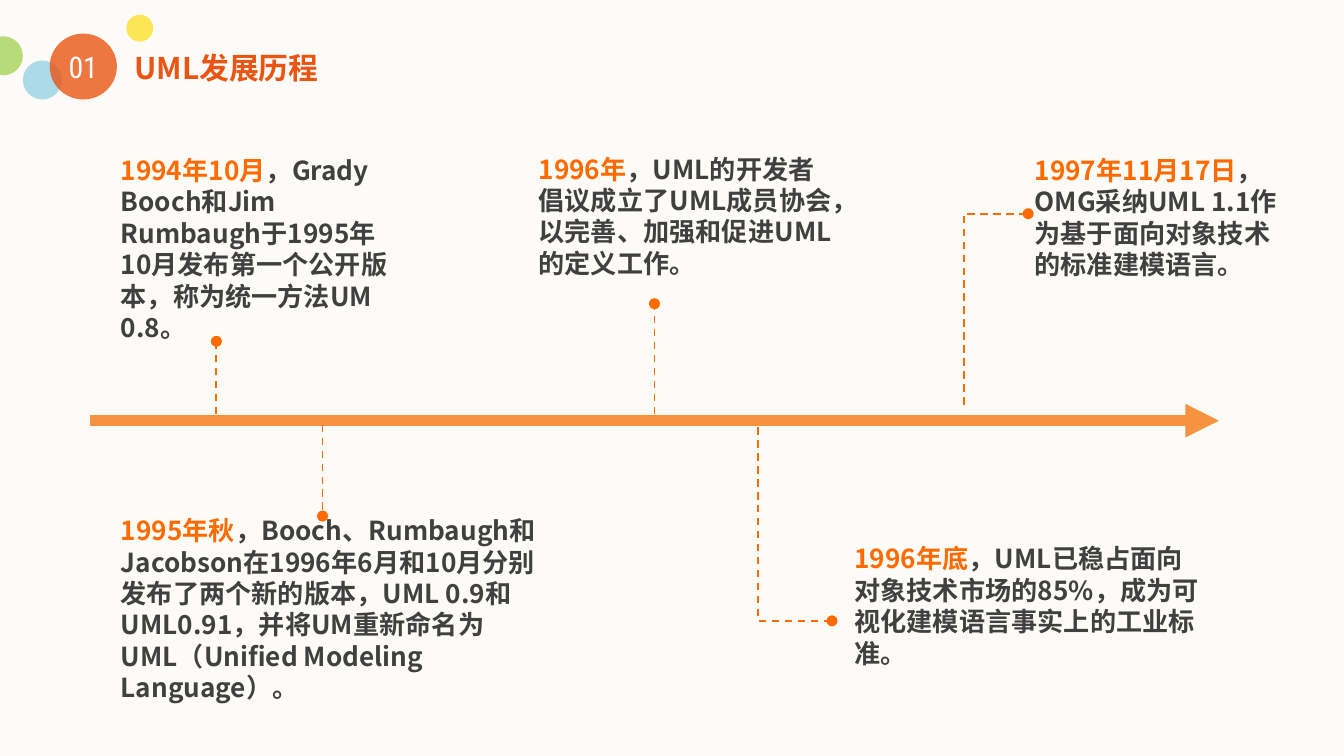
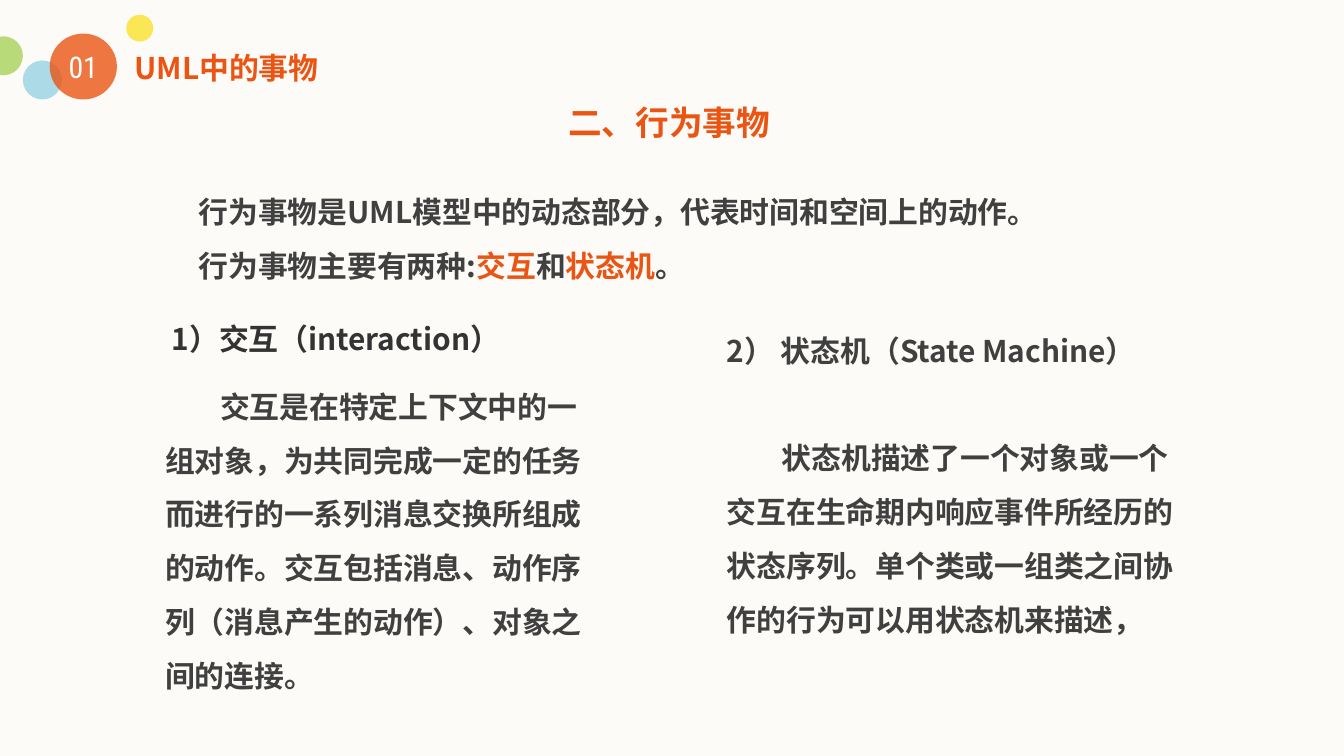
from lxml.etree import SubElement
from pptx import Presentation
from pptx.dml.color import RGBColor
from pptx.enum.dml import MSO_LINE as Dash
from pptx.enum.shapes import MSO_CONNECTOR as Connector, MSO_SHAPE as Shape
from pptx.enum.text import MSO_ANCHOR as Anchor, MSO_AUTO_SIZE as AutoSize, PP_ALIGN as Align
from pptx.oxml.ns import qn
from pptx.util import Pt

PX = 9144  # EMU per px, 100 px to the inch
SLIDE_SIZE = (1000, 562.5)
TITLE_ONLY = 5
SANS, NUMERAL = "Noto Sans CJK SC", "Roboto Condensed"
COLORS = {
    "paper": "FCFBF7", "white": "FFFFFF", "body": "404040", "heading": "333333",
    "title": "EA5514", "date": "FF6B00", "axis": "F69240",
    "yellow": "FBE22D", "green": "A9D25A", "blue": "98D2E3",
}

SECTION = "01"
BUBBLES = [  # colour, left, top, width, height
    ("yellow", 94, 11, 20, 20),
    ("green", -12, 27, 29, 29),
    ("blue", 17, 45, 29, 29),
    ("title", 37, 25, 50, 49),
]

# Text between asterisks takes the accent colour.
HISTORY_TITLE = "UML发展历程"
AXIS = [(67, 313), (907, 313)]
MILESTONES = [  # text, box, leader from the axis to its dot
    ("*1994年10月*，Grady Booch和Jim Rumbaugh于1995年10月发布第一个公开版本，称为统一方法UM 0.8。",
     (80, 110, 226, 151), [(161, 308), (161, 254)]),
    ("*1995年秋*，Booch、Rumbaugh和Jacobson在1996年6月和10月分别发布了两个新的版本，"
     "UML 0.9和UML0.91，并将UM重新命名为UML（Unified Modeling Language）。",
     (80, 378, 329, 151), [(240, 316), (240, 384)]),
    ("*1996年*，UML的开发者倡议成立了UML成员协会，以完善、加强和促进UML的定义工作。",
     (391, 109, 243, 104), [(487, 308), (487, 226)]),
    ("*1996年底*，UML已稳占面向对象技术市场的85%，成为可视化建模语言事实上的工业标准。",
     (626, 399, 283, 104), [(564, 318), (564, 462), (619, 462)]),
    ("*1997年11月17日*，OMG采纳UML 1.1作为基于面向对象技术的标准建模语言。",
     (760, 110, 213, 104), [(717, 301), (717, 159), (765, 159)]),
]

THINGS_TITLE = "UML中的事物"
OPEN = {"spacing": 1.5}
INDENTED = {"spacing": 1.5, "indent": 41}
THINGS = [  # box, text style, paragraphs with their layout
    ((413, 71, 200, 40), {"size": 18, "color": "title"}, [("二、行为事物", {})]),
    ((138, 126, 693, 86), {}, [
        ("行为事物是UML模型中的动态部分，代表时间和空间上的动作。", OPEN),
        ("行为事物主要有两种:*交互*和*状态机*。", OPEN),
    ]),
    ((118, 234, 390, 37), {"color": "heading"}, [("1）交互（interaction）", {})]),
    ((113, 271, 341, 248), {}, [
        ("交互是在特定上下文中的一组对象，为共同完成一定的任务而进行的一系列消息交换所组成的动作。"
         "交互包括消息、动作序列（消息产生的动作）、对象之间的连接。", INDENTED),
    ]),
    ((531, 229, 370, 248), {}, [
        ("2） 状态机（State Machine）", OPEN),
        ("状态机描述了一个对象或一个交互在生命期内响应事件所经历的状态序列。"
         "单个类或一组类之间协作的行为可以用状态机来描述，", {**INDENTED, "before": 29}),
    ]),
]


def px(*lengths):
    return [round(length * PX) for length in lengths]


def rgb(name):
    return RGBColor.from_string(COLORS[name])


def style_font(paragraph, size, color, face=SANS, bold=True):
    font = paragraph.font
    font.size, font.bold, font.name = Pt(size), bold, face
    font.color.rgb = rgb(color)
    defaults = paragraph._p.get_or_add_pPr().find(qn("a:defRPr"))
    SubElement(defaults, qn("a:ea")).set("typeface", face)


def lay_out(paragraph, spacing=None, indent=0, before=0):
    if spacing:
        paragraph.line_spacing = spacing
    if before:
        paragraph.space_before = Pt(before)
    if indent:
        paragraph._p.get_or_add_pPr().set("indent", str(indent * PX))


def add_text(slide, box, paragraphs, size=16, color="body", accent="title"):
    frame = slide.shapes.add_textbox(*px(*box)).text_frame
    frame.word_wrap, frame.auto_size = True, AutoSize.SHAPE_TO_FIT_TEXT
    for number, (text, layout) in enumerate(paragraphs):
        paragraph = frame.add_paragraph() if number else frame.paragraphs[0]
        lay_out(paragraph, **layout)
        style_font(paragraph, size, color)
        for position, piece in enumerate(text.split("*")):
            if piece:
                run = paragraph.add_run()
                run.text = piece
                if position % 2:
                    run.font.color.rgb = rgb(accent)


def set_label(holder, box, text, align, **font):
    """Fill a header text holder that has no margins."""
    holder.left, holder.top, holder.width, holder.height = px(*box)
    frame = holder.text_frame
    frame.margin_left = frame.margin_top = frame.margin_right = frame.margin_bottom = 0
    frame.vertical_anchor = Anchor.TOP
    frame.word_wrap, frame.auto_size = True, AutoSize.SHAPE_TO_FIT_TEXT
    frame.text = text
    frame.paragraphs[0].alignment = align
    style_font(frame.paragraphs[0], 16, **font)


def add_bubble(slide, color, *box):
    bubble = slide.shapes.add_shape(Shape.OVAL, *px(*box))
    bubble.shadow.inherit = False
    bubble.line.fill.background()
    bubble.fill.solid()
    bubble.fill.fore_color.rgb = rgb(color)
    tint = bubble._element.spPr.find(qn("a:solidFill"))[0]
    SubElement(tint, qn("a:alpha")).set("val", "80000")


def add_titled_slide(deck, title):
    slide = deck.slides.add_slide(deck.slide_layouts[TITLE_ONLY])
    for bubble in BUBBLES:
        add_bubble(slide, *bubble)
    number_box = (44, 36, 36, 27)
    set_label(slide.shapes.add_textbox(*px(*number_box)), number_box, SECTION, Align.CENTER,
              color="white", face=NUMERAL, bold=False)
    set_label(slide.shapes.title, (100, 37, 198, 27), title, Align.LEFT, color="title")
    return slide


def add_line(slide, points, color, width, end, dash=None):
    """Draw a straight connector, or an open outline if there are more than two points."""
    if len(points) == 2:
        line = slide.shapes.add_connector(Connector.STRAIGHT, *px(*points[0], *points[1]))
        SubElement(line._element.spPr, qn("a:effectLst"))
    else:
        outline = slide.shapes.build_freeform(*points[0], scale=PX)
        outline.add_line_segments(points[1:], close=False)
        line = outline.convert_to_shape()
        line.shadow.inherit = False
        line.fill.background()
    line.line.color.rgb, line.line.width = rgb(color), Pt(width)
    if dash:
        line.line.dash_style = dash
    SubElement(line.line._get_or_add_ln(), qn("a:tailEnd")).set("type", end)


def build_history(deck):
    slide = add_titled_slide(deck, HISTORY_TITLE)
    add_line(slide, AXIS, "axis", 6, "triangle")
    for text, box, leader in MILESTONES:
        add_text(slide, box, [(text, {})], size=14, accent="date")
        add_line(slide, leader, "date", 1, "oval", Dash.DASH)


def build_things(deck):
    slide = add_titled_slide(deck, THINGS_TITLE)
    for box, style, paragraphs in THINGS:
        add_text(slide, box, paragraphs, **style)


def main():
    deck = Presentation()
    deck.slide_width, deck.slide_height = px(*SLIDE_SIZE)
    paper = deck.slide_master.background.fill
    paper.solid()
    paper.fore_color.rgb = rgb("paper")
    build_history(deck)
    build_things(deck)
    deck.save("out.pptx")


if __name__ == "__main__":
    main()
